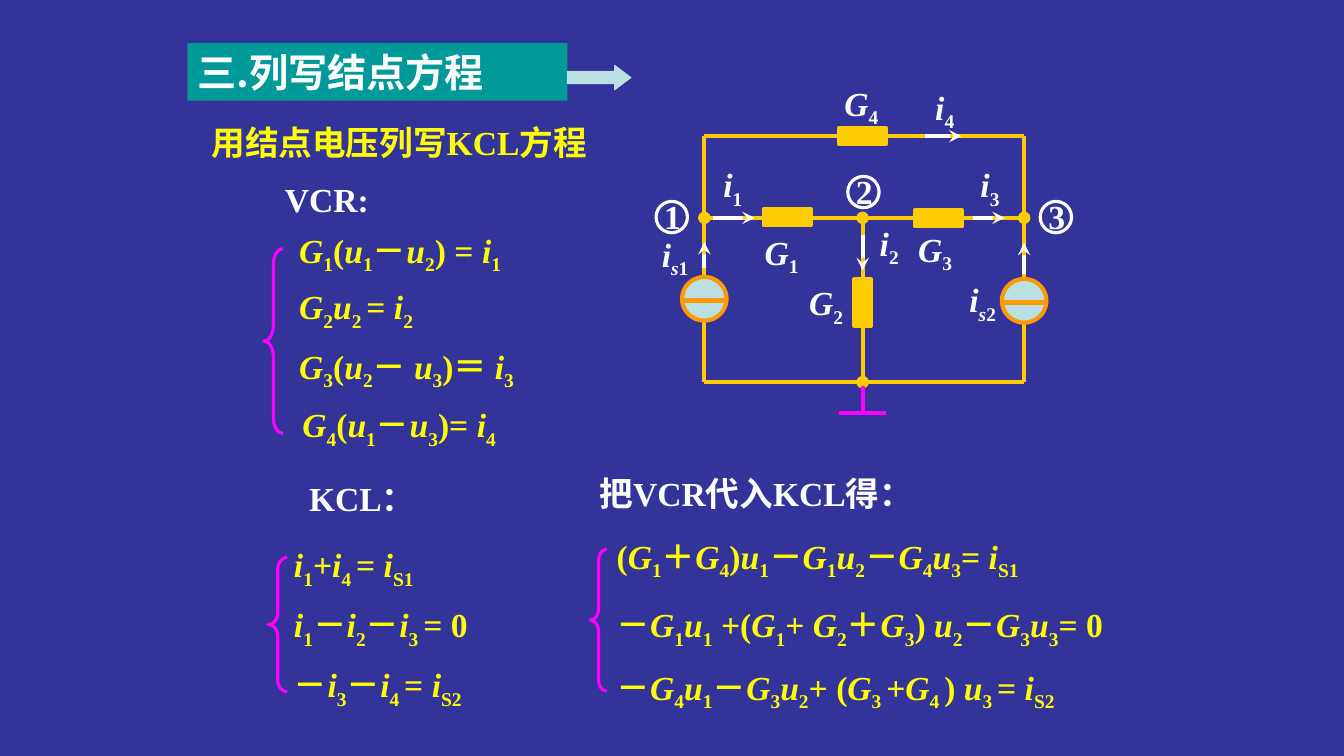
from dataclasses import dataclass
from itertools import groupby

import pptx
import pptx.dml.color
import pptx.enum.shapes
import pptx.enum.text
import pptx.oxml.ns
import pptx.util
from lxml import etree

Cm = pptx.util.Cm
Pt = pptx.util.Pt
SHAPE = pptx.enum.shapes.MSO_SHAPE
qn = pptx.oxml.ns.qn


@dataclass(frozen=True)
class Theme:
    background: str = "333399"
    banner: str = "009999"
    pale: str = "BBE0E3"
    wire: str = "FFCC00"
    source: str = "FF9900"
    brace: str = "FF00FF"
    formula: str = "FFFF00"
    label: str = "FFFFFF"
    serif: str = "Times New Roman"
    sans: str = "Arial"
    cjk: str = "Noto Sans CJK SC"
    title_size: int = 28
    body_size: int = 24
    thick: float = 3
    medium: float = 2.25
    thin: float = 0.75


THEME = Theme()
LEFT, MIDDLE, RIGHT = 17.75, 21.74, 25.81
TOP, CENTRE, BOTTOM = 3.43, 5.49, 9.63
LINE_HEIGHT = 1.27


def rgb(colour):
    return pptx.dml.color.RGBColor.from_string(colour)


def style_run(run, font, size, colour):
    run.font.name = font
    run.font.size = Pt(size)
    run.font.bold = True
    run.font.color.rgb = rgb(colour)
    east_asian = etree.SubElement(run._r.get_or_add_rPr(), qn("a:ea"))
    east_asian.set("typeface", THEME.cjk)


def write_formula(paragraph, markup, colour, cjk_font):
    styled = []
    subscript = False
    for char in markup:
        if char in "[]":
            subscript = char == "["
        else:
            font = cjk_font if "一" <= char <= "龥" else THEME.serif
            styled.append((char, (subscript, char in "Guis", font)))
    for (lowered, italic, font), chars in groupby(styled, key=lambda item: item[1]):
        run = paragraph.add_run()
        run.text = "".join(char for char, _ in chars)
        style_run(run, font, THEME.body_size, colour)
        run.font.italic = italic
        if lowered:
            run._r.get_or_add_rPr().set("baseline", "-25000")


def add_text(slide, left, top, width, lines, colour=THEME.label, height=LINE_HEIGHT,
             wrap=True, spacing=None, gap=0, cjk_font=THEME.serif):
    frame = slide.shapes.add_textbox(Cm(left), Cm(top), Cm(width), Cm(height)).text_frame
    frame.word_wrap = wrap
    frame.auto_size = pptx.enum.text.MSO_AUTO_SIZE.SHAPE_TO_FIT_TEXT
    for index, markup in enumerate(lines):
        paragraph = frame.add_paragraph() if index else frame.paragraphs[0]
        if spacing:
            paragraph.line_spacing = spacing
        if index:
            paragraph.space_before = Pt(gap)
        write_formula(paragraph, markup, colour, cjk_font)


def add_figure(slide, kind, left, top, width, height, fill=None, line=None, weight=THEME.thick):
    figure = slide.shapes.add_shape(kind, Cm(left), Cm(top), Cm(width), Cm(height))
    figure.shadow.inherit = False
    if fill:
        figure.fill.solid()
        figure.fill.fore_color.rgb = rgb(fill)
    else:
        figure.fill.background()
    if line:
        figure.line.color.rgb = rgb(line)
        figure.line.width = Pt(weight)
    else:
        figure.line.fill.background()
    return figure


def add_wire(slide, x1, y1, x2, y2, colour=THEME.wire, head=None, tail=None):
    wire = slide.shapes.add_connector(
        pptx.enum.shapes.MSO_CONNECTOR.STRAIGHT, Cm(x1), Cm(y1), Cm(x2), Cm(y2))
    wire.line.color.rgb = rgb(colour)
    wire.line.width = Pt(THEME.thick)
    for tag, ending in (("a:headEnd", head), ("a:tailEnd", tail)):
        if ending:
            etree.SubElement(wire.line._get_or_add_ln(), qn(tag)).set("type", ending)
    etree.SubElement(wire._element.spPr, qn("a:effectLst"))


def add_brace(slide, left, top, width, height, curl):
    brace = add_figure(slide, SHAPE.LEFT_BRACE, left, top, width, height,
                       line=THEME.brace, weight=THEME.medium)
    brace.adjustments[0] = curl
    brace.adjustments[1] = 0.5


def add_resistor(slide, x, y, width=1.19, height=0.41):
    add_figure(slide, SHAPE.RECTANGLE, x - width / 2, y - height / 2, width, height,
               THEME.wire, THEME.wire)


def add_current_source(slide, x, y):
    width, height = 1.12, 1.1
    add_figure(slide, SHAPE.OVAL, x - width / 2, y - height / 2, width, height,
               THEME.pale, THEME.source)
    add_wire(slide, x - width / 2, y + 0.04, x + width / 2, y + 0.04, THEME.source)


def add_node_number(slide, number, x, y):
    diameter = 0.79
    add_text(slide, x - 0.44, y - 0.65, 0.86, [number])
    add_figure(slide, SHAPE.OVAL, x - diameter / 2, y - diameter / 2, diameter, diameter,
               line=THEME.label, weight=THEME.medium)


def add_title(slide):
    banner = add_figure(slide, SHAPE.RECTANGLE, 4.72, 1.09, 9.58, 1.45, THEME.banner)
    frame = banner.text_frame
    frame.text = "三.列写结点方程"
    frame.vertical_anchor = pptx.enum.text.MSO_ANCHOR.MIDDLE
    frame.paragraphs[0].alignment = pptx.enum.text.PP_ALIGN.LEFT
    style_run(frame.paragraphs[0].runs[0], THEME.cjk, THEME.title_size, THEME.label)
    arrow = add_figure(slide, SHAPE.RIGHT_ARROW, 14.3, 1.65, 1.6, 0.61,
                       THEME.pale, THEME.pale, THEME.thin)
    arrow.adjustments[0] = 0.5
    arrow.adjustments[1] = 0.667


def add_equations(slide):
    add_text(slide, 5.08, 2.95, 11.46, ["用结点电压列写KCL方程"], THEME.formula,
             cjk_font=THEME.sans)
    add_text(slide, 6.93, 4.39, 4.39, ["VCR:"])
    for left, top, width, markup in (
        (7.29, 5.66, 6.86, "G[1](u[1]－u[2]) = i[1]"),
        (7.29, 7.09, 6.32, "G[2]u[2 ]= i[2]"),
        (7.29, 8.59, 8, "G[3](u[2]－ u[3])＝ i[3]"),
        (7.37, 10.06, 7.26, "G[4](u[1]－u[3])= i[4]"),
    ):
        add_text(slide, left, top, width, [markup], THEME.formula)
    add_brace(slide, 6.65, 6.27, 0.48, 4.65, 0.814)

    add_text(slide, 7.54, 11.91, 3.78, ["KCL："])
    add_text(slide, 7.16, 13.36, 6.45,
             ["i[1]+i[4 ]= i[S1]", "i[1]－i[2]－i[3 ]= 0", "－i[3]－i[4 ]= i[S2]"],
             THEME.formula, height=4.47, spacing=1.2, gap=3.5)
    add_brace(slide, 6.76, 14.05, 0.48, 3.38, 0.597)

    add_text(slide, 14.86, 11.79, 9.09, ["把VCR代入KCL得："])
    for top, width, markup in (
        (13.26, 11.91, "(G[1]＋G[4])u[1]－G[1]u[2]－G[4]u[3]= i[S1]"),
        (14.99, 14.35, "－G[1]u[1] +(G[1]+ G[2]＋G[3]) u[2]－G[3]u[3]= 0"),
        (16.56, 12.85, "－G[4]u[1]－G[3]u[2]+ (G[3 ]+G[4 ]) u[3 ]= i[S2]"),
    ):
        add_text(slide, 15.29, top, width, [markup], THEME.formula, height=1.4, spacing=1.1)
    add_brace(slide, 14.88, 13.84, 0.41, 3.58, 0.712)


def add_circuit(slide):
    for x, y in ((MIDDLE, TOP), (19.84, 5.47), (23.65, 5.5)):
        add_resistor(slide, x, y)
    add_resistor(slide, MIDDLE, 7.63, 0.41, 1.19)

    for x in (LEFT, RIGHT):
        add_wire(slide, x, TOP, x, BOTTOM)
    for y in (TOP, BOTTOM):
        add_wire(slide, LEFT, y, RIGHT, y)
    add_wire(slide, MIDDLE, CENTRE, MIDDLE, BOTTOM, head="oval", tail="oval")
    add_wire(slide, LEFT, CENTRE, RIGHT, CENTRE, head="oval", tail="oval")
    add_current_source(slide, LEFT, 7.53)
    add_current_source(slide, RIGHT, 7.58)

    for markup, left, top, width in (
        ("i[s2]", 24.18, 6.91, 1.24), ("i[s1]", 16.43, 5.77, 1.24),
        ("G[1]", 19.02, 5.72, 1.4), ("G[2]", 20.14, 6.99, 1.55),
        ("G[3]", 22.89, 5.64, 1.52), ("G[4]", 21.03, 1.96, 1.63),
        ("i[4]", 23.32, 2.06, 1.04), ("i[3]", 24.46, 4.01, 1.02),
        ("i[1]", 17.98, 4.01, 1.02), ("i[2]", 21.92, 5.49, 1.02),
    ):
        add_text(slide, left, top, width, [markup], wrap=False)

    for x1, y1, x2, y2 in (
        (17.98, CENTRE, 19.02, CENTRE), (24.51, CENTRE, 25.32, CENTRE),
        (23.32, TOP, 24.23, TOP), (MIDDLE, 5.92, MIDDLE, 6.81),
        (LEFT, 6.76, LEFT, 6.1), (RIGHT, 6.91, RIGHT, 6.12),
    ):
        add_wire(slide, x1, y1, x2, y2, THEME.label, tail="stealth")

    add_wire(slide, MIDDLE, 9.73, MIDDLE, 10.41, THEME.brace)
    add_wire(slide, MIDDLE - 0.6, 10.41, MIDDLE + 0.6, 10.41, THEME.brace)
    for number, x, y in (("1", 16.93, 5.47), ("2", 21.76, 4.84), ("3", 26.61, 5.47)):
        add_node_number(slide, number, x, y)


def main():
    deck = pptx.Presentation()
    deck.slide_width, deck.slide_height = Cm(33.87), Cm(19.05)
    slide = deck.slides.add_slide(deck.slide_layouts[6])
    slide.background.fill.solid()
    slide.background.fill.fore_color.rgb = rgb(THEME.background)
    add_equations(slide)
    add_circuit(slide)
    add_title(slide)
    deck.save("out.pptx")


if __name__ == "__main__":
    main()
